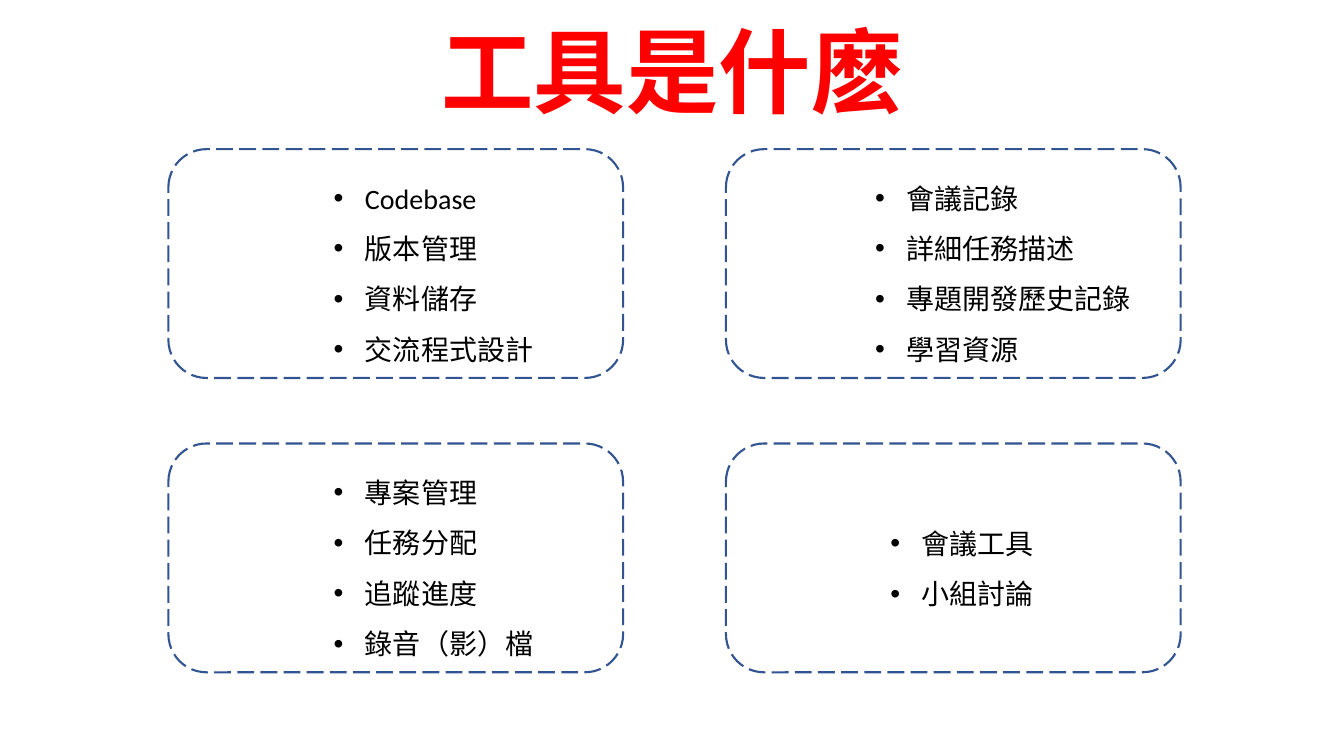
from lxml.etree import SubElement
from pptx import Presentation
from pptx.dml.color import RGBColor
from pptx.enum.dml import MSO_LINE
from pptx.enum.shapes import MSO_SHAPE
from pptx.enum.text import MSO_ANCHOR, MSO_AUTO_SIZE, PP_ALIGN
from pptx.oxml.ns import qn
from pptx.util import Inches, Pt

COLORS = {"title": "FF0000", "text": "000000", "card": "FFFFFF", "edge": "325491"}

# Card grid, in inches
WIDE, HIGH = 13.33, 7.5
LEFT, TOP = 1.67, 1.48
STEP_X, STEP_Y = 5.53, 2.92
CARD_W, CARD_H = 4.51, 2.27
LIST_W, LINE_H, PAD = 2.93, 0.505, 0.05
INDENT = Inches(0.31)

# Column, row, list inset from the card's left side, items
CARDS = [
    (0, 0, 1.54, ["Codebase", "版本管理", "資料儲存", "交流程式設計"]),
    (1, 0, 1.38, ["會議記錄", "詳細任務描述", "專題開發歷史記錄", "學習資源"]),
    (0, 1, 1.54, ["專案管理", "任務分配", "追蹤進度", "錄音（影）檔"]),
    (1, 1, 1.53, ["會議工具", "小組討論"]),
]


def color(name):
    return RGBColor.from_string(COLORS[name])


def place(shape, x, y, w, h):
    shape.left, shape.top = Inches(x), Inches(y)
    shape.width, shape.height = Inches(w), Inches(h)


def set_frame(shape, anchor):
    frame = shape.text_frame
    frame.word_wrap = True
    frame.auto_size = MSO_AUTO_SIZE.SHAPE_TO_FIT_TEXT
    frame.vertical_anchor = anchor
    return frame


def add_run(para, text, size, font, tint, bold=False):
    run = para.add_run()
    run.text = text
    run.font.size, run.font.name, run.font.bold = Pt(size), font, bold
    run.font.color.rgb = color(tint)


def add_card(slide, col, row):
    card = slide.shapes.add_shape(
        MSO_SHAPE.ROUNDED_RECTANGLE,
        Inches(LEFT + col * STEP_X), Inches(TOP + row * STEP_Y),
        Inches(CARD_W), Inches(CARD_H))
    card.shadow.inherit = False
    card.fill.solid()
    card.fill.fore_color.rgb = color("card")
    card.line.color.rgb = color("edge")
    card.line.width = Pt(1.5)
    card.line.dash_style = MSO_LINE.LONG_DASH
    # Send the card behind the lists
    card.element.getparent().insert(2, card.element)


def set_bullet(para):
    props = para._p.get_or_add_pPr()
    props.set("marL", str(INDENT))
    props.set("indent", str(-INDENT))
    SubElement(props, qn("a:buFont")).set("typeface", "Arial")
    SubElement(props, qn("a:buChar")).set("char", "•")


def fill_list(body, col, row, inset, items):
    # Center the list vertically in its card
    high = LINE_H * len(items) + PAD
    place(body, LEFT + col * STEP_X + inset,
          TOP + row * STEP_Y + (CARD_H - high) / 2, LIST_W, high)
    frame = set_frame(body, MSO_ANCHOR.TOP)
    for i, item in enumerate(items):
        para = frame.add_paragraph() if i else frame.paragraphs[0]
        set_bullet(para)
        para.alignment = PP_ALIGN.LEFT
        para.line_spacing = 1.5
        para.space_before = Pt(0)
        add_run(para, item, 20, "Calibri", "text")


def fill_title(title, text):
    place(title, 3, 0.09, 7.34, 1.21)
    para = set_frame(title, MSO_ANCHOR.TOP).paragraphs[0]
    para.alignment = PP_ALIGN.CENTER
    add_run(para, text, 66, "Arial", "title", True)


def main():
    deck = Presentation()
    deck.slide_width, deck.slide_height = Inches(WIDE), Inches(HIGH)
    # The comparison layout has a title and four bodies
    slide = deck.slides.add_slide(deck.slide_layouts[4])
    title, *bodies = list(slide.placeholders)[:5]

    fill_title(title, "工具是什麽")
    for body, (col, row, inset, items) in zip(bodies, CARDS):
        add_card(slide, col, row)
        fill_list(body, col, row, inset, items)

    deck.save("out.pptx")


if __name__ == "__main__":
    main()
